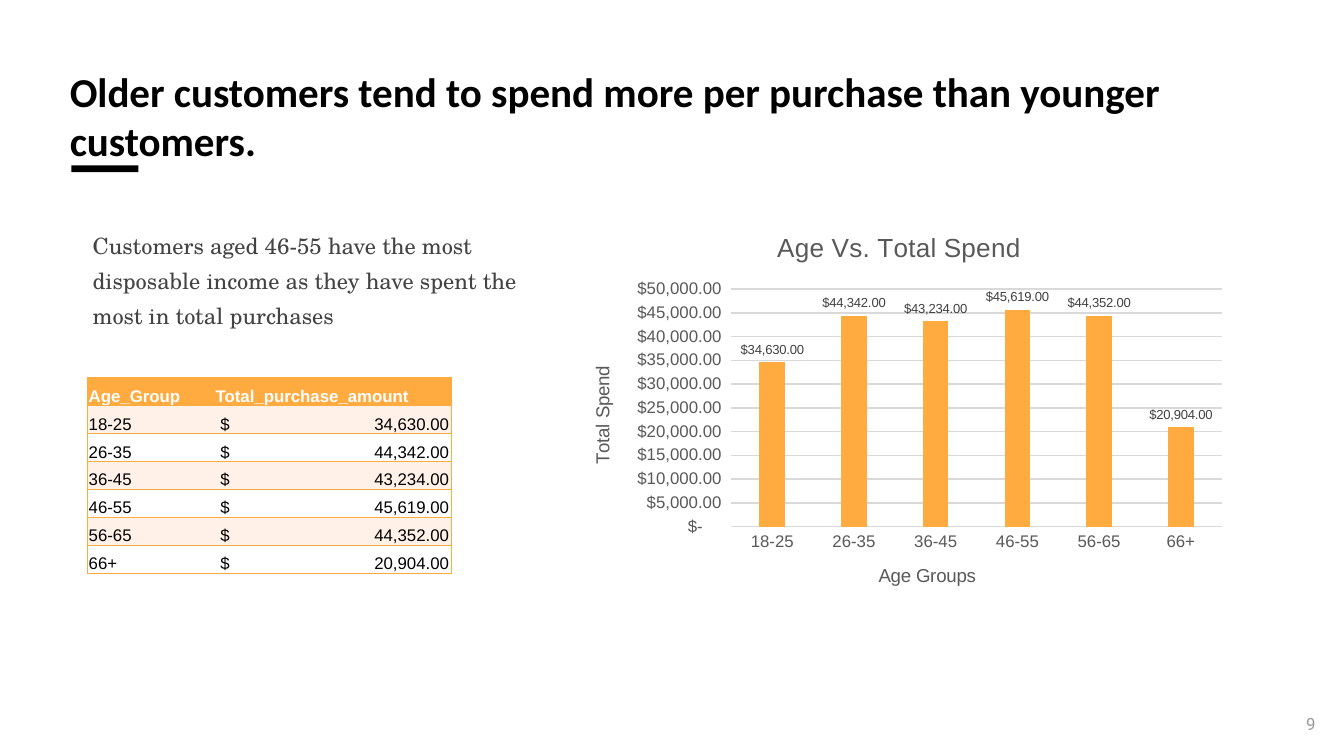
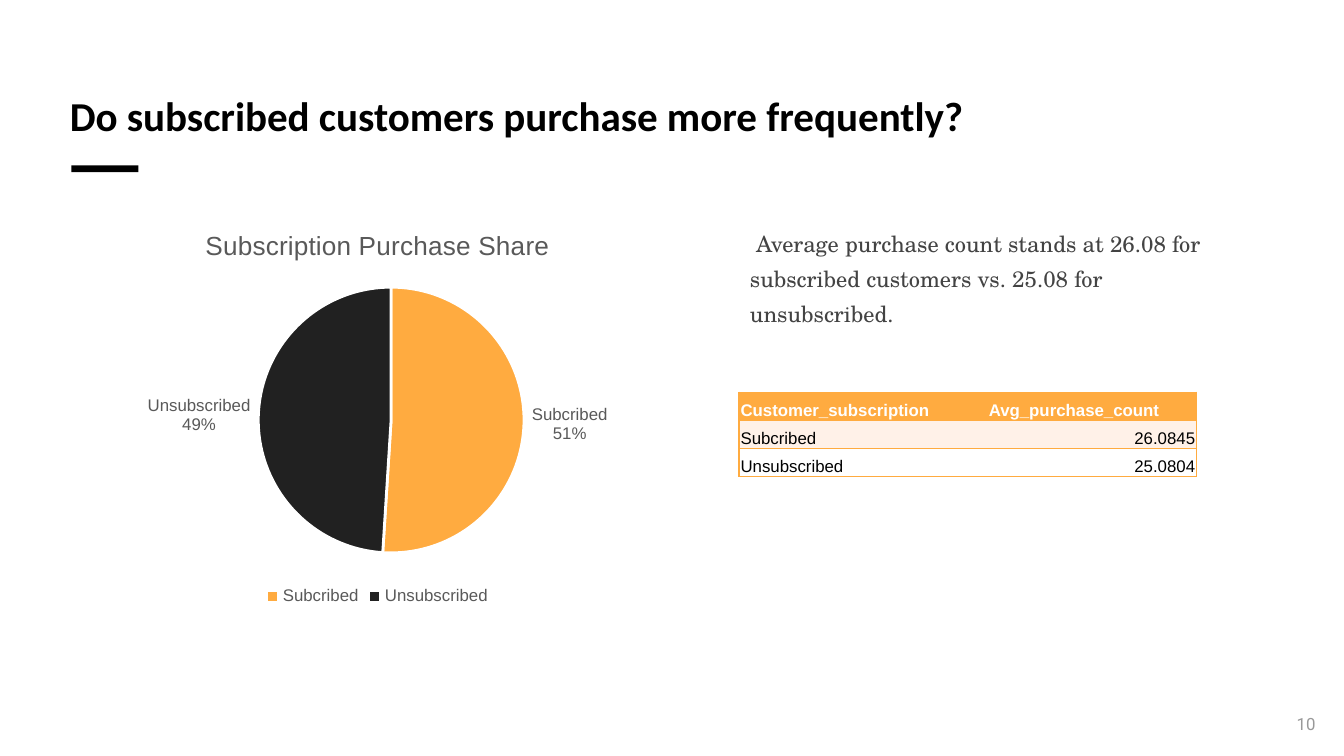
from pptx import Presentation
from pptx.chart.data import CategoryChartData
from pptx.dml.color import RGBColor
from pptx.enum.chart import XL_CHART_TYPE, XL_LABEL_POSITION, XL_LEGEND_POSITION, XL_TICK_MARK
from pptx.enum.shapes import MSO_SHAPE
from pptx.enum.text import MSO_ANCHOR, MSO_AUTO_SIZE, PP_ALIGN
from pptx.oxml.ns import qn
from pptx.util import Pt
from lxml.etree import SubElement

ORANGE, BLACK, WHITE, GREY, LINE, CHARCOAL = "FFAB40", "000000", "FFFFFF", "595959", "D9D9D9", "212121"
BANDS = ("FFF1E8", WHITE)
MONEY = '_("$"* #,##0.00_);_("$"* \\(#,##0.00\\);_("$"* "-"??_);_(@_)'

TITLE = dict(name="Calibri", size=Pt(22), bold=True, color=BLACK)
BODY = dict(name="TeX Gyre Schola", size=Pt(12), color="434343")
NUMBER = dict(name="Roboto", size=Pt(9), color="999999")
HEAD = dict(name="Arial", size=Pt(9), bold=True, color=WHITE)
CELL = dict(name="Arial", size=Pt(9), bold=False, color=BLACK)
CHART_TITLE = dict(name="Arial", size=Pt(14), bold=False, color=GREY)
AXIS_TITLE = dict(CHART_TITLE, size=Pt(10))
TICK = dict(CHART_TITLE, size=Pt(9))
VALUE_LABEL = dict(name="Arial", size=Pt(7), color="404040")

SPEND = {"18-25": 34630, "26-35": 44342, "36-45": 43234,
         "46-55": 45619, "56-65": 44352, "66+": 20904}
SHARE = {"Subcribed": 51, "Unsubscribed": 49}

SLIDES = [
    dict(number=9,
         title="Older customers tend to spend more per purchase than younger customers.",
         body="Customers aged 46-55 have the most disposable income as they have "
              "spent the most in total purchases",
         body_at=(30.2, 113), chart_at=(301.7, 113), table_at=(46.8, 202.3),
         chart="column", chart_title="Age Vs. Total Spend", data=SPEND,
         widths=(68, 127),
         rows=[("Age_Group", "Total_purchase_amount")]
              + [(age, f" $\t{total:,.2f}") for age, total in SPEND.items()]),
    dict(number=10,
         title="Do subscribed customers purchase more frequently?",
         body=" Average purchase count stands at 26.08 for subscribed customers "
              "vs. 25.08 for unsubscribed.",
         body_at=(382.3, 111.6), chart_at=(22.3, 111.6), table_at=(396, 210.2),
         chart="pie", chart_title="Subscription Purchase Share", data=SHARE,
         widths=(133, 112),
         rows=[("Customer_subscription", "Avg_purchase_count"),
               ("Subcribed", "26.0845"), ("Unsubscribed", "25.0804")]),
]


def rgb(color):
    return RGBColor.from_string(color)


def set_all(obj, **values):
    for key, value in values.items():
        setattr(obj, key, value)


def set_font(font, fmt):
    set_all(font, **{k: v for k, v in fmt.items() if k != "color"})
    font.color.rgb = rgb(fmt["color"])


def paint(fill, color):
    fill.solid()
    fill.fore_color.rgb = rgb(color)


def place(sp, x, y, w, h):
    set_all(sp, left=Pt(x), top=Pt(y), width=Pt(w), height=Pt(h))


def write(sp, text, fmt, margin, anchor=MSO_ANCHOR.TOP, align=PP_ALIGN.LEFT):
    tf = sp.text_frame
    sides = {f"margin_{side}": Pt(margin) for side in ("left", "right", "top", "bottom")}
    set_all(tf, word_wrap=True, auto_size=MSO_AUTO_SIZE.NONE, vertical_anchor=anchor, **sides)
    p = tf.paragraphs[0]
    r = p.add_run()
    r.text = text
    set_font(r.font, fmt)
    set_all(p, alignment=align, space_before=Pt(0))
    return p


def add_frame(s, spec):
    place(s.shapes.title, 30.2, 48.2, 658, 27.4)
    write(s.shapes.title, spec["title"], TITLE, 7.2, MSO_ANCHOR.MIDDLE)

    body = s.placeholders[1]
    place(body, *spec["body_at"], 272.2, 206)
    p = write(body, spec["body"], BODY, 7.2)
    pPr = p._p.get_or_add_pPr()
    pPr.set("marL", str(Pt(12.25)))
    pPr.set("indent", "0")
    SubElement(pPr, qn("a:buNone"))
    p.line_spacing = 1.3

    bar = s.shapes.add_shape(MSO_SHAPE.RECTANGLE, Pt(38.2), Pt(88.6), Pt(36), Pt(3.6))
    bar.shadow.inherit = False
    paint(bar.fill, BLACK)
    bar.line.fill.background()

    box = s.shapes.add_textbox(Pt(681), Pt(380.2), Pt(26), Pt(15))
    write(box, str(spec["number"]), NUMBER, 2.2, align=PP_ALIGN.RIGHT)


def set_borders(cell, sides):
    tcPr = cell._tc.get_or_add_tcPr()
    for side in "LRTB":
        ln = SubElement(tcPr, qn(f"a:ln{side}"), w=str(Pt(1)))
        if side in sides:
            fill = SubElement(ln, qn("a:solidFill"))
            SubElement(fill, qn("a:srgbClr"), val=ORANGE)
        else:
            SubElement(ln, qn("a:noFill"))


def add_data_table(s, spec):
    rows, widths = spec["rows"], spec["widths"]
    x, y = spec["table_at"]
    table = s.shapes.add_table(len(rows), len(widths), Pt(x), Pt(y),
                               Pt(sum(widths)), Pt(15 * len(rows))).table
    for col, width in zip(table.columns, widths):
        col.width = Pt(width)
    for i, row in enumerate(rows):
        table.rows[i].height = Pt(15)
        for j, text in enumerate(row):
            cell = table.cell(i, j)
            set_borders(cell, "RTB" if j else "LTB")
            paint(cell.fill, BANDS[(i - 1) % 2] if i else ORANGE)
            set_all(cell, vertical_anchor=MSO_ANCHOR.BOTTOM, margin_left=Pt(0.75),
                    margin_right=Pt(0.75), margin_top=Pt(0.75), margin_bottom=Pt(0))
            p = cell.text_frame.paragraphs[0]
            if "\t" in text:
                tabs = SubElement(p._p.get_or_add_pPr(), qn("a:tabLst"))
                SubElement(tabs, qn("a:tab"), pos=str(Pt(widths[j] - 2)), algn="r")
            elif i and j:
                p.alignment = PP_ALIGN.RIGHT
            r = p.add_run()
            r.text = text
            set_font(r.font, CELL if i else HEAD)


def set_title(owner, text, fmt):
    tf = owner.text_frame
    tf.text = text
    set_font(tf.paragraphs[0].runs[0].font, fmt)


def style_column(chart):
    plot = chart.plots[0]
    set_all(plot, gap_width=219, overlap=-27)
    chart.has_legend = False
    for axis, title in ((chart.category_axis, "Age Groups"), (chart.value_axis, "Total Spend")):
        set_title(axis.axis_title, title, AXIS_TITLE)
        set_all(axis, major_tick_mark=XL_TICK_MARK.NONE, minor_tick_mark=XL_TICK_MARK.NONE)
        set_font(axis.tick_labels.font, TICK)
    val = chart.value_axis
    set_all(val, minimum_scale=0, maximum_scale=50000, major_unit=5000, has_major_gridlines=True)
    set_all(val.tick_labels, number_format=MONEY, number_format_is_linked=False)
    val.format.line.fill.background()
    for line in (chart.category_axis.format.line, val.major_gridlines.format.line):
        line.color.rgb = rgb(LINE)
        line.width = Pt(0.75)
    paint(plot.series[0].format.fill, ORANGE)
    labels = plot.series[0].data_labels
    set_all(labels, show_value=True, position=XL_LABEL_POSITION.OUTSIDE_END,
            number_format=MONEY, number_format_is_linked=False)
    set_font(labels.font, VALUE_LABEL)


def style_pie(chart):
    chart.has_legend = True
    set_all(chart.legend, position=XL_LEGEND_POSITION.BOTTOM, include_in_layout=False)
    set_font(chart.legend.font, TICK)
    series = chart.plots[0].series[0]
    for i, color in enumerate((ORANGE, CHARCOAL)):
        fmt = series.points[i].format
        paint(fmt.fill, color)
        fmt.line.color.rgb = rgb(WHITE)
        fmt.line.width = Pt(1.5)
    labels = series.data_labels
    set_all(labels, show_value=False, show_percentage=True, show_category_name=True,
            position=XL_LABEL_POSITION.OUTSIDE_END, number_format="0%",
            number_format_is_linked=False)
    set_font(labels.font, TICK)


CHARTS = {"column": (XL_CHART_TYPE.COLUMN_CLUSTERED, style_column),
          "pie": (XL_CHART_TYPE.PIE, style_pie)}


def add_data_chart(s, spec):
    kind, style = CHARTS[spec["chart"]]
    data = CategoryChartData()
    data.categories = list(spec["data"])
    data.add_series("Series 1", list(spec["data"].values()))
    x, y = spec["chart_at"]
    chart = s.shapes.add_chart(kind, Pt(x), Pt(y), Pt(360), Pt(216), data).chart
    set_font(chart.font, dict(name="Arial", size=Pt(10), color=BLACK))
    set_title(chart.chart_title, spec["chart_title"], CHART_TITLE)
    chart.plots[0].vary_by_categories = spec["chart"] == "pie"
    style(chart)


def main():
    """Build the two customer spending slides."""
    prs = Presentation()
    set_all(prs, slide_width=Pt(720), slide_height=Pt(405))
    for spec in SLIDES:
        s = prs.slides.add_slide(prs.slide_layouts[1])
        paint(s.background.fill, WHITE)
        add_frame(s, spec)
        add_data_chart(s, spec)
        add_data_table(s, spec)
    prs.save("out.pptx")


if __name__ == "__main__":
    main()
